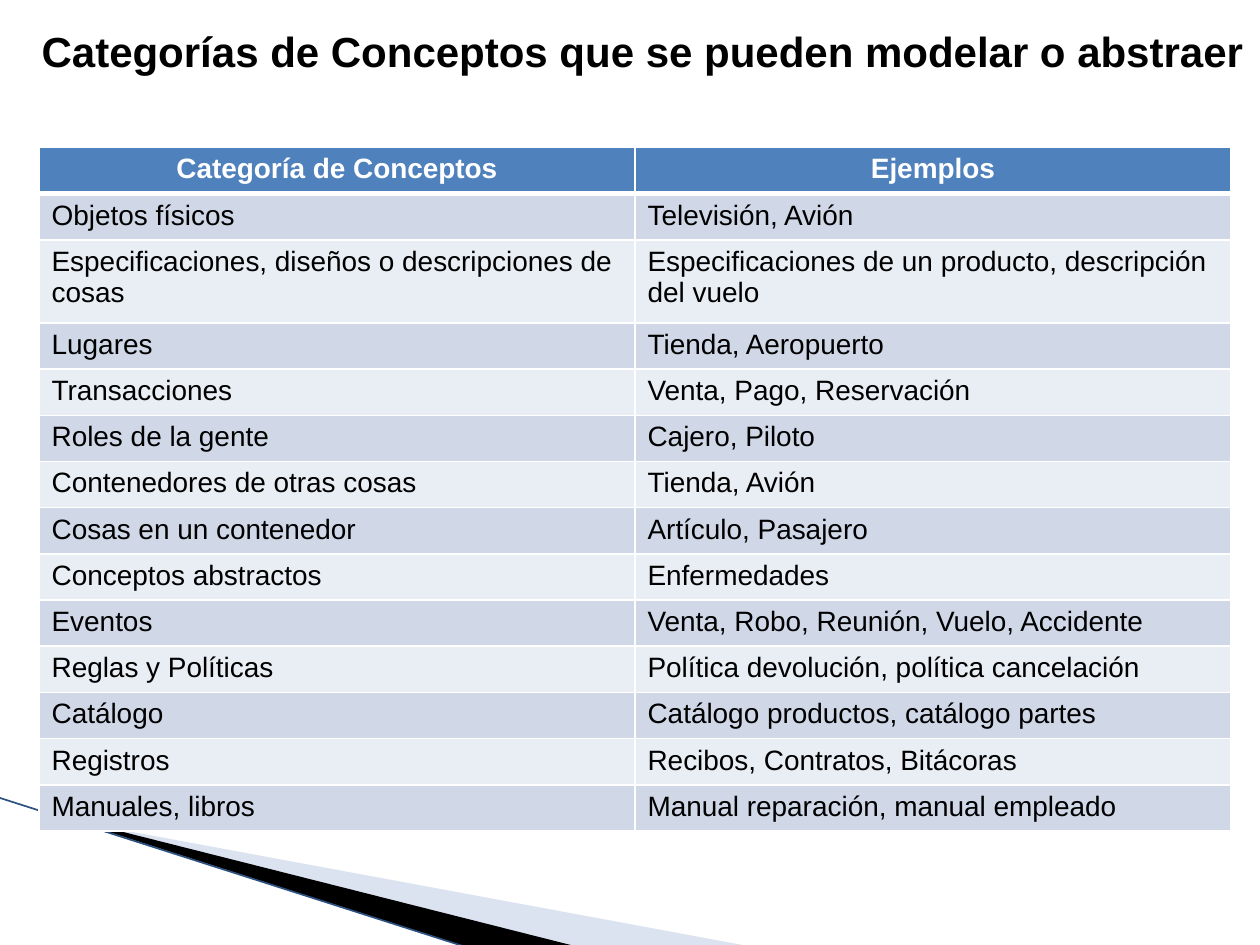
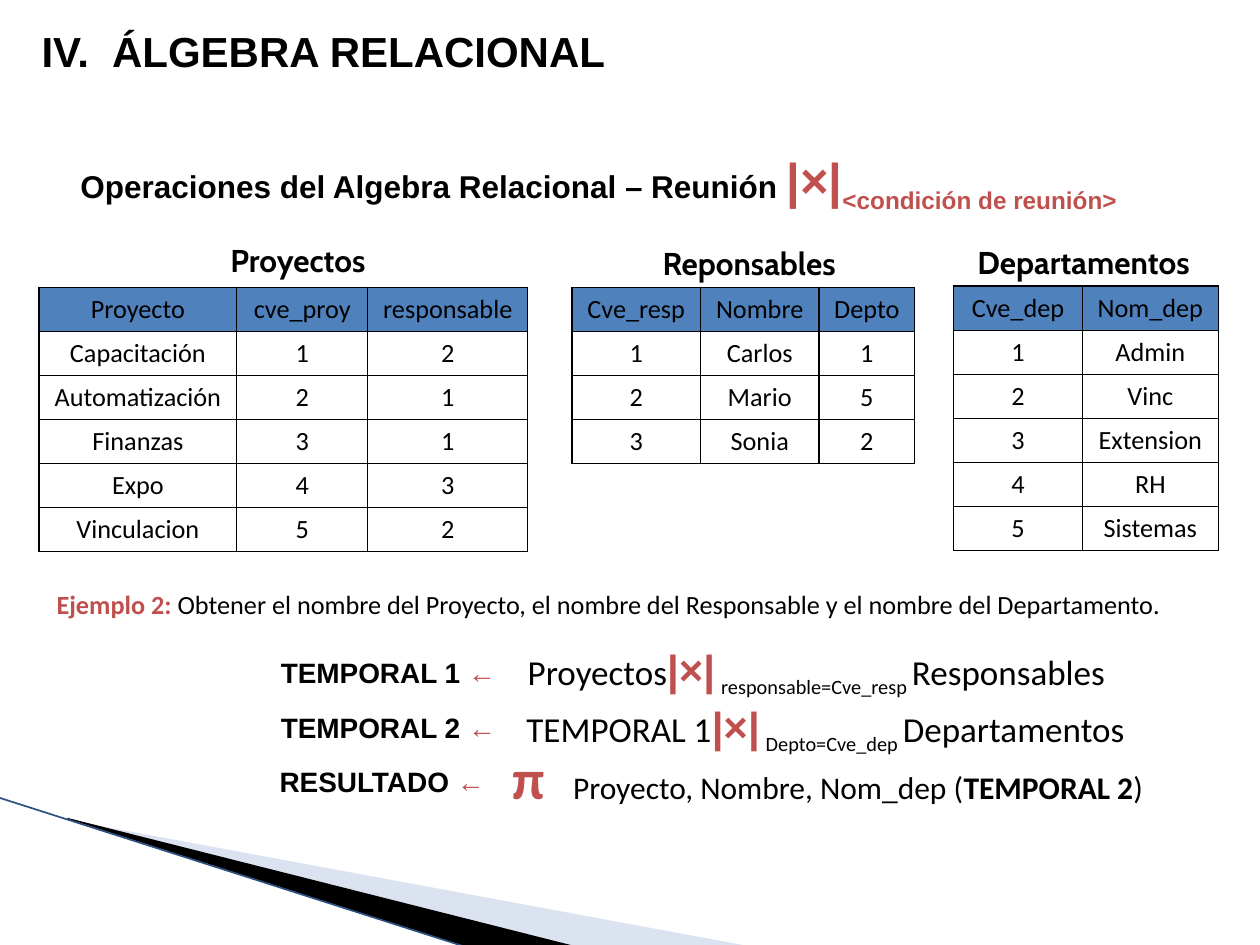
from dataclasses import dataclass
from typing import NamedTuple

from lxml import etree
from pptx import Presentation
from pptx.dml.color import RGBColor
from pptx.enum.shapes import MSO_CONNECTOR
from pptx.enum.text import MSO_ANCHOR, MSO_AUTO_SIZE, PP_ALIGN
from pptx.oxml.ns import qn
from pptx.util import Inches, Pt

LEFT, CENTER = PP_ALIGN.LEFT, PP_ALIGN.CENTER
TOP, MIDDLE = MSO_ANCHOR.TOP, MSO_ANCHOR.MIDDLE
FIXED = MSO_AUTO_SIZE.NONE
STRAIGHT = MSO_CONNECTOR.STRAIGHT


@dataclass(frozen=True)
class Theme:
    black: str = "000000"
    white: str = "FFFFFF"
    red: str = "C0504D"
    head: str = "4F81BD"
    odd: str = "D0D8E8"
    even: str = "E9EDF4"
    wedge: str = "A7B9DB"
    edge: str = "2C5080"
    sans: str = "Arial"
    body: str = "Calibri"
    label: str = "Cabin"
    title: int = 24
    join: int = 28
    pi: int = 32
    large: int = 20
    mid: int = 18
    text: int = 16
    small: int = 15


T = Theme()


class Run(NamedTuple):
    text: str
    size: int
    face: str = T.body
    color: str = T.black
    bold: bool = False
    base: int = 0


class Box(NamedTuple):
    x: float
    y: float
    w: float
    h: float

    def span(self) -> list:
        return [Inches(v) for v in self]


@dataclass(frozen=True)
class Note:
    box: Box
    runs: tuple
    align: int = LEFT
    anchor: int = TOP
    inset: float = 0
    tab: float = 0


@dataclass(frozen=True)
class Grid:
    x: float
    y: float
    cols: tuple
    rows: tuple
    highs: tuple


class Wedge(NamedTuple):
    box: Box
    points: tuple
    color: str
    alpha: int


WEDGES = (
    Wedge(Box(0.78, 5.47, 4.16, 1.58),
          ((0.55, 6.51), (5.95, 7.51), (4.56, 7.51), (0.55, 6.5)), T.wedge, 40),
    Wedge(Box(-0.06, 6.33, 4.16, 0.92),
          ((0.53, 6.49), (4.57, 7.51), (3.72, 7.52), (0.54, 6.5)), T.black, 100),
)


def rgb(code: str) -> RGBColor:
    return RGBColor.from_string(code)


def add(parent, tag: str, **attrs):
    return etree.SubElement(parent, qn(tag), {k: str(v) for k, v in attrs.items()})


def write(para, runs: tuple, align: int = LEFT) -> None:
    para.alignment = align
    for item in runs:
        run = para.add_run()
        run.text = item.text
        form = {"size": Pt(item.size), "name": item.face, "bold": item.bold}
        for key, value in form.items():
            setattr(run.font, key, value)
        run.font.color.rgb = rgb(item.color)
        if item.base:
            run.font._element.set("baseline", str(item.base * 1000))


def frame(shape, anchor: int):
    text = shape.text_frame
    form = {"word_wrap": True, "auto_size": FIXED, "vertical_anchor": anchor}
    for key, value in form.items():
        setattr(text, key, value)
    return text.paragraphs[0]


def reframe(shape, box: Box) -> None:
    left, top, wide, high = box.span()
    geom = shape._element.spPr
    for point in geom.iter(qn("a:pt")):
        point.set("x", str(int(point.get("x")) + shape.left - left))
        point.set("y", str(int(point.get("y")) + shape.top - top))
    track = geom.find(".//" + qn("a:path"))
    track.set("w", str(wide))
    track.set("h", str(high))
    shape.left, shape.top, shape.width, shape.height = left, top, wide, high


def draw_base(slide) -> None:
    for wedge in WEDGES:
        first, *rest = [(Inches(x), Inches(y)) for x, y in wedge.points]
        pen = slide.shapes.build_freeform(*first)
        pen.add_line_segments(rest)
        shape = pen.convert_to_shape()
        reframe(shape, wedge.box)
        shape.shadow.inherit = False
        shape.line.fill.background()
        shape.fill.solid()
        shape.fill.fore_color.rgb = rgb(wedge.color)
        if wedge.alpha < 100:
            tint = shape._element.spPr.find(".//" + qn("a:srgbClr"))
            add(tint, "a:alpha", val=wedge.alpha * 1000)
    ends = [Inches(v) for v in (-0.01, 6.33, 3.71, 7.52)]
    line = slide.shapes.add_connector(STRAIGHT, *ends)
    line.line.color.rgb = rgb(T.edge)
    line.line.width = Pt(0.95)
    add(line._element.spPr, "a:effectLst")


def start(deck, title: str, box: Box, number: int = 0):
    slide = deck.slides.add_slide(deck.slide_layouts[5])
    shape = slide.shapes.title
    shape.left, shape.top, shape.width, shape.height = box.span()
    para = frame(shape, TOP)
    if number:
        props = para._p.get_or_add_pPr()
        props.set("marL", str(Inches(0.56)))
        props.set("indent", str(-Inches(0.56)))
        add(props, "a:buFont", typeface=T.sans)
        add(props, "a:buAutoNum", type="romanUcPeriod", startAt=number)
    write(para, (Run(title, T.title, T.sans, bold=True),))
    draw_base(slide)
    return slide


def draw_note(slide, note: Note) -> None:
    para = frame(slide.shapes.add_textbox(*note.box.span()), note.anchor)
    props = para._p.get_or_add_pPr()
    if note.inset:
        props.set("marL", str(Inches(note.inset)))
    if note.tab:
        add(add(props, "a:tabLst"), "a:tab", pos=Inches(note.tab), algn="l")
    write(para, note.runs, note.align)


def rule(cell, color: str, width: float, low: float) -> None:
    props = cell._tc.get_or_add_tcPr()
    for side in "LRTB":
        size = low if side == "B" else width
        line = add(props, "a:ln" + side, w=Pt(size))
        add(add(line, "a:solidFill"), "a:srgbClr", val=color)


def draw_grid(slide, grid: Grid, band: bool = False) -> None:
    box = Box(grid.x, grid.y, sum(grid.cols), sum(grid.highs))
    count = len(grid.rows), len(grid.cols)
    table = slide.shapes.add_table(*count, *box.span()).table
    table.first_row = table.horz_banding = False
    for col, wide in zip(table.columns, grid.cols):
        col.width = Inches(wide)
    for row, high in zip(table.rows, grid.highs):
        row.height = Inches(high)
    for i, row in enumerate(grid.rows):
        top = i == 0
        for j, word in enumerate(row):
            cell = table.cell(i, j)
            if band:
                rule(cell, T.white, 1, 3 if top else 1)
                tone = T.head if top else (T.even, T.odd)[i % 2]
                run = Run(word, T.text, T.sans, T.white if top else T.black, top)
            else:
                rule(cell, T.black, 0.75, 0.75)
                tone = T.head if top else ""
                run = Run(word, T.small)
                cell.vertical_anchor = MIDDLE
                cell.margin_top = cell.margin_bottom = Inches(0.04)
            if tone:
                cell.fill.solid()
                cell.fill.fore_color.rgb = rgb(tone)
            else:
                cell.fill.background()
            write(cell.text_frame.paragraphs[0], (run,), CENTER if top or not band else LEFT)


KINDS = (
    ("Categoría de Conceptos", "Ejemplos"),
    ("Objetos físicos", "Televisión, Avión"),
    ("Especificaciones, diseños o descripciones de cosas",
     "Especificaciones de un producto, descripción del vuelo"),
    ("Lugares", "Tienda, Aeropuerto"),
    ("Transacciones", "Venta, Pago, Reservación"),
    ("Roles de la gente", "Cajero, Piloto"),
    ("Contenedores de otras cosas", "Tienda, Avión"),
    ("Cosas en un contenedor", "Artículo, Pasajero"),
    ("Conceptos abstractos", "Enfermedades"),
    ("Eventos", "Venta, Robo, Reunión, Vuelo, Accidente"),
    ("Reglas y Políticas", "Política devolución, política cancelación"),
    ("Catálogo", "Catálogo productos, catálogo partes"),
    ("Registros", "Recibos, Contratos, Bitácoras"),
    ("Manuales, libros", "Manual reparación, manual empleado"),
)
TASKS = (
    ("Proyecto", "cve_proy", "responsable"), ("Capacitación", "1", "2"),
    ("Automatización", "2", "1"), ("Finanzas", "3", "1"),
    ("Expo", "4", "3"), ("Vinculacion", "5", "2"),
)
HEADS = (
    ("Cve_resp", "Nombre", "Depto"), ("1", "Carlos", "1"),
    ("2", "Mario", "5"), ("3", "Sonia", "2"),
)
UNITS = (
    ("Cve_dep", "Nom_dep"), ("1", "Admin"), ("2", "Vinc"),
    ("3", "Extension"), ("4", "RH"), ("5", "Sistemas"),
)
SETS = (
    ("Proyectos", Box(1.64, 1.86, 1.45, 0.4), 0.31, 2.28, (1.57, 1.04, 1.27), TASKS),
    ("Reponsables", Box(5.04, 1.89, 1.81, 0.4), 4.54, 2.28, (1.02, 0.94, 0.76), HEADS),
    ("Departamentos", Box(7.52, 1.88, 2.16, 0.4), 7.57, 2.27, (1.02, 1.08), UNITS),
)


def step(name: str, x: float, y: float) -> Note:
    runs = (Run(name + " ", T.text, T.sans, bold=True),
            Run("←", T.text, T.sans, T.red, True))
    return Note(Box(x, y, 1.99, 0.37), runs)


def join(first: str, test: str, last: str, box: Box) -> Note:
    runs = (Run(first, T.large), Run("|×|", T.title, T.sans, T.red, True),
            Run(" ", T.small), Run(test + " ", T.large, base=-25), Run(last, T.large))
    return Note(box, runs)


NOTES = (
    Note(Box(0.04, 1.14, 9.92, 0.57), (
        Run("Operaciones del Algebra Relacional – Reunión ", T.mid, T.sans, bold=True),
        Run("|×|", T.join, T.sans, T.red, True),
        Run("<condición de reunión>", T.title, T.sans, T.red, True, -25)), inset=0.5),
    Note(Box(0.35, 4.62, 9.18, 0.35), (
        Run("Ejemplo 2:", T.small, color=T.red, bold=True),
        Run(" Obtener el nombre del Proyecto, el nombre del Responsable"
            " y el nombre del Departamento.", T.small)), anchor=MIDDLE),
    step("TEMPORAL 1", 2.13, 5.15),
    step("TEMPORAL 2", 2.13, 5.59),
    step("RESULTADO", 2.12, 6.02),
    join("Proyectos", "responsable=Cve_resp", "Responsables", Box(4.09, 5.06, 5.1, 0.51)),
    join("TEMPORAL 1", "Depto=Cve_dep", "Departamentos", Box(4.08, 5.51, 5.53, 0.51)),
    Note(Box(3.97, 5.85, 5.89, 0.64), (
        Run("π", T.pi, color=T.red, bold=True),
        Run("\tProyecto, Nombre, Nom_dep (", T.mid),
        Run("TEMPORAL 2", T.mid, bold=True), Run(")", T.mid)), tab=0.48),
)


def main() -> None:
    deck = Presentation()
    deck.slide_width, deck.slide_height = Inches(10), Inches(7.5)

    slide = start(deck, "Categorías de Conceptos que se pueden modelar o abstraer",
                  Box(0.23, 0.15, 9.89, 0.51))
    tall, total = 0.66, 5.43
    plain = (total - tall) / (len(KINDS) - 1)
    highs = tuple(tall if i == 2 else plain for i in range(len(KINDS)))
    draw_grid(slide, Grid(0.31, 1.17, (4.73, 4.73), KINDS, highs), band=True)

    slide = start(deck, "ÁLGEBRA RELACIONAL", Box(0.23, 0.15, 9.45, 0.51), number=4)
    for name, box, x, y, cols, rows in SETS:
        draw_grid(slide, Grid(x, y, cols, rows, (0.35,) * len(rows)))
        draw_note(slide, Note(box, (Run(name, T.mid, T.label, bold=True),), CENTER, MIDDLE))
    for note in NOTES:
        draw_note(slide, note)

    deck.save("out.pptx")


if __name__ == "__main__":
    main()
